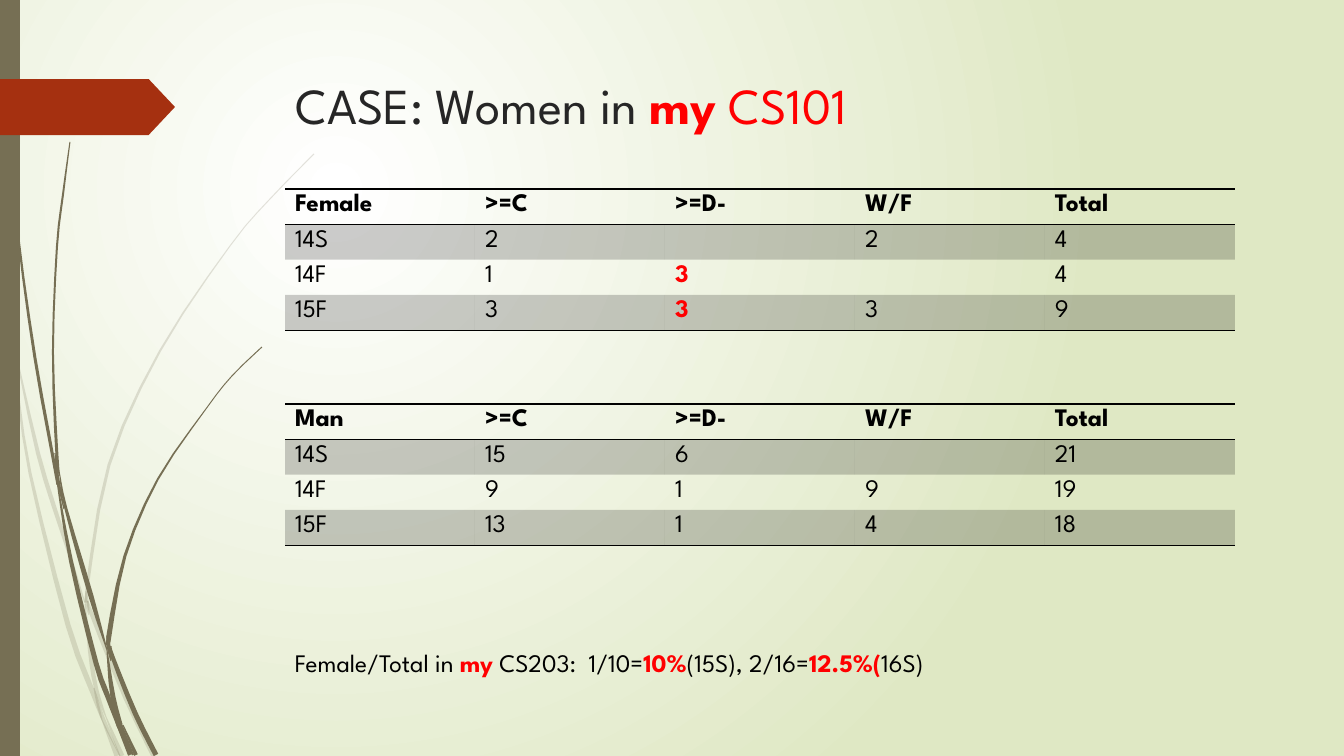
import dataclasses
import math

import lxml.etree
import pptx
import pptx.dml.color
import pptx.enum.shapes
import pptx.enum.text
import pptx.oxml.ns
import pptx.util

qn = pptx.oxml.ns.qn
SCALE = 914400 / 100.8


def px(length):
    return pptx.util.Emu(round(length * SCALE))


def rgb(code):
    return pptx.dml.color.RGBColor.from_string(code)


@dataclasses.dataclass(frozen=True)
class Theme:
    font: str = "League Spartan"
    ink: str = "000000"
    heading: str = "262626"
    accent: str = "FF0000"
    stem: str = "766F54"
    tag: str = "A53010"
    glow: str = "FFFFFF"
    meadow: str = "DFE8C4"
    title_size: int = 36
    body_size: int = 18
    tint: int = 20


def add_span(para, text, size, color, font, bold=False):
    span = para.add_run()
    span.text = text
    span.font.name = font
    span.font.size = pptx.util.Pt(size)
    span.font.bold = bold
    span.font.color.rgb = rgb(color)


def set_alpha(element, percent):
    color = next(element.iter(qn("a:srgbClr")))
    lxml.etree.SubElement(color, qn("a:alpha")).set("val", str(percent * 1000))


def smooth_spine(knots, steps=3):
    ends = [knots[0], *knots, knots[-1]]
    for a, b, c, d in zip(ends, ends[1:], ends[2:], ends[3:]):
        for step in range(steps):
            t = step / steps
            yield tuple(
                q + t / 2 * (r - p + t * (2 * p - 5 * q + 4 * r - s + t * (3 * (q - r) + s - p)))
                for p, q, r, s in zip(a, b, c, d)
            )
    yield knots[-1]


class Painter:
    def __init__(self, page, theme):
        self.page = page
        self.theme = theme

    def backdrop(self):
        fill = self.page.background.fill
        fill.gradient()
        for stop, color in zip(fill.gradient_stops, (self.theme.glow, self.theme.meadow)):
            stop.color.rgb = rgb(color)
        linear = next(self.page.element.iter(qn("a:lin")))
        radial = lxml.etree.Element(qn("a:path"), {"path": "circle"})
        center = {"l": "50000", "t": "50000", "r": "100000", "b": "100000"}
        lxml.etree.SubElement(radial, qn("a:fillToRect"), center)
        linear.getparent().replace(linear, radial)

    def finish(self, shape, color, alpha=None):
        shape.shadow.inherit = False
        shape.fill.solid()
        shape.fill.fore_color.rgb = rgb(color)
        shape.line.fill.background()
        if alpha:
            set_alpha(shape.element.spPr, alpha)
        return shape

    def preset(self, kind, left, top, width, height, color):
        shape = self.page.shapes.add_shape(kind, px(left), px(top), px(width), px(height))
        return self.finish(shape, color)

    def blade(self, knots, alpha=None):
        spine = list(smooth_spine(knots))
        left, right = [], []
        for i, (x, y, width) in enumerate(spine):
            before, after = spine[max(i - 1, 0)], spine[min(i + 1, len(spine) - 1)]
            dx, dy = after[0] - before[0], after[1] - before[1]
            reach = width / 2 / math.hypot(dx, dy)
            left.append((px(x - dy * reach), px(y + dx * reach)))
            right.append((px(x + dy * reach), px(y - dx * reach)))
        outline = left + right[::-1]
        builder = self.page.shapes.build_freeform(*outline[0])
        builder.add_line_segments(outline[1:], close=True)
        self.finish(builder.convert_to_shape(), self.theme.stem, alpha)

    def text(self, left, top, width, height, spans, size, color):
        box = self.page.shapes.add_textbox(px(left), px(top), px(width), px(height))
        frame = box.text_frame
        frame.word_wrap = True
        frame.vertical_anchor = pptx.enum.text.MSO_ANCHOR.TOP
        for content, style in spans:
            add_span(frame.paragraphs[0], content, **{
                "size": size, "color": color, "font": self.theme.font, **style})

    def rule(self, cell, edge):
        line = lxml.etree.Element(qn("a:" + edge), {"w": str(pptx.util.Pt(1))})
        fill = lxml.etree.SubElement(line, qn("a:solidFill"))
        lxml.etree.SubElement(fill, qn("a:srgbClr"), {"val": self.theme.ink})
        cell._tc.get_or_add_tcPr().insert(0, line)

    def cell(self, cell, content, banded, bold, color):
        theme = self.theme
        cell.margin_bottom = 0
        if banded:
            cell.fill.solid()
            cell.fill.fore_color.rgb = rgb(theme.ink)
            set_alpha(cell._tc.tcPr, theme.tint)
        else:
            cell.fill.background()
        para = cell.text_frame.paragraphs[0]
        if content:
            add_span(para, content, theme.body_size, color, theme.font, bold)
        size = {"sz": str(theme.body_size * 100)}
        end = lxml.etree.SubElement(para._p, qn("a:endParaRPr"), size)
        lxml.etree.SubElement(end, qn("a:latin"), {"typeface": theme.font})

    def table(self, left, top, column, row, rows, marked=()):
        count = len(rows[0])
        frame = self.page.shapes.add_table(
            len(rows), count, px(left), px(top), px(column * count), px(row * len(rows)))
        grid = frame.table
        grid.first_row = grid.horz_banding = False
        style = next(frame._element.iter(qn("a:tableStyleId")))
        style.text = "{2D5ABB26-0587-4C30-8999-92F81FD0307C}"
        for r, values in enumerate(rows):
            for c, value in enumerate(values):
                cell = grid.cell(r, c)
                hot = (r, c) in marked
                color = self.theme.accent if hot else self.theme.ink
                self.cell(cell, value, r % 2 == 1, hot or r == 0, color)
                if r in (0, len(rows) - 1):
                    self.rule(cell, "lnB")
                if r == 0:
                    self.rule(cell, "lnT")


PALE_BLADES = [
    [(0, 293, 4), (11, 353, 1)],
    [(15, 349, 1), (38, 453, 4), (60, 525, 4), (85, 603, 1)],
    [(88, 601, 1), (92, 615, 4), (126, 698, 5), (154, 756, 5)],
    [(106, 717, 1), (122, 756, 5)],
    [(11, 353, 1), (16, 379, 2), (30, 473, 3), (68, 625, 5), (93, 693, 5), (102, 720, 1)],
    [(85, 604, 1), (90, 651, 4), (96, 688, 4), (106, 717, 1)],
    [(314, 154, 1), (270, 199, 1), (230, 246, 1), (160, 351, 2), (109, 465, 3),
     (87, 589, 3), (88, 601, 1)],
    [(102, 720, 1), (117, 756, 5)],
    [(86, 591, 1), (87, 603, 4), (89, 615, 1)],
    [(94, 688, 1), (102, 716, 4), (120, 756, 1)],
]
DARK_BLADES = [
    [(4, 0, 1), (8, 110, 1), (18, 234, 2), (35, 358, 3), (54, 463, 3), (57, 485, 1)],
    [(60, 476, 1), (66, 509, 3), (91, 596, 5), (107, 650, 1)],
    [(111, 646, 1), (113, 658, 4), (135, 713, 5), (156, 755, 5)],
    [(57, 481, 1), (71, 561, 4), (96, 663, 5), (108, 697, 5), (118, 728, 1)],
    [(70, 142, 1), (63, 195, 2), (57, 247, 2), (53, 352, 2), (57, 455, 3), (60, 476, 1)],
    [(123, 725, 1), (136, 755, 4)],
    [(55, 453, 1), (58, 479, 3), (64, 509, 1)],
    [(262, 347, 1), (232, 376, 1), (206, 409, 1), (158, 479, 2), (125, 556, 3),
     (109, 636, 5), (110, 646, 1)],
    [(118, 728, 1), (130, 755, 4)],
    [(107, 650, 1), (113, 697, 5), (122, 724, 1)],
    [(107, 636, 1), (109, 648, 4), (111, 661, 1)],
    [(111, 697, 1), (119, 724, 6), (133, 755, 2)],
]
GRADES = [">=C", ">=D-", "W/F", "Total"]
WOMEN = [["Female", *GRADES], ["14S", "2", "", "2", "4"],
         ["14F", "1", "3", "", "4"], ["15F", "3", "3", "3", "9"]]
MEN = [["Man", *GRADES], ["14S", "15", "6", "", "21"],
       ["14F", "9", "1", "9", "19"], ["15F", "13", "1", "4", "18"]]

theme = Theme()
deck = pptx.Presentation()
deck.slide_width, deck.slide_height = px(1344), px(756)
painter = Painter(deck.slides.add_slide(deck.slide_layouts[6]), theme)
shapes = pptx.enum.shapes.MSO_SHAPE
red = {"color": theme.accent}
strong = {**red, "bold": True}

painter.backdrop()
for knots in PALE_BLADES:
    painter.blade(knots, theme.tint)
for knots in DARK_BLADES:
    painter.blade(knots)
painter.preset(shapes.RECTANGLE, 0, 0, 20, 756, theme.stem)
painter.preset(shapes.PENTAGON, 0, 79, 175, 56, theme.tag).adjustments[0] = 0.47

painter.text(286, 69, 983, 141, [
    ("CASE: Women in ", {}), ("my", strong), (" CS101", red),
], theme.title_size, theme.heading)
painter.table(285, 189, 190, 33, WOMEN, marked={(2, 2), (3, 2)})
painter.table(285, 404, 190, 33, MEN)
painter.text(285, 642, 951, 40, [
    ("Female/Total in ", {}), ("my", strong), (" CS203:  1/10=", {}), ("10%", strong),
    ("(15S), 2/16=", {}), ("12.5%(", strong), ("16S)", {}),
], theme.body_size, theme.ink)

deck.save("out.pptx")
